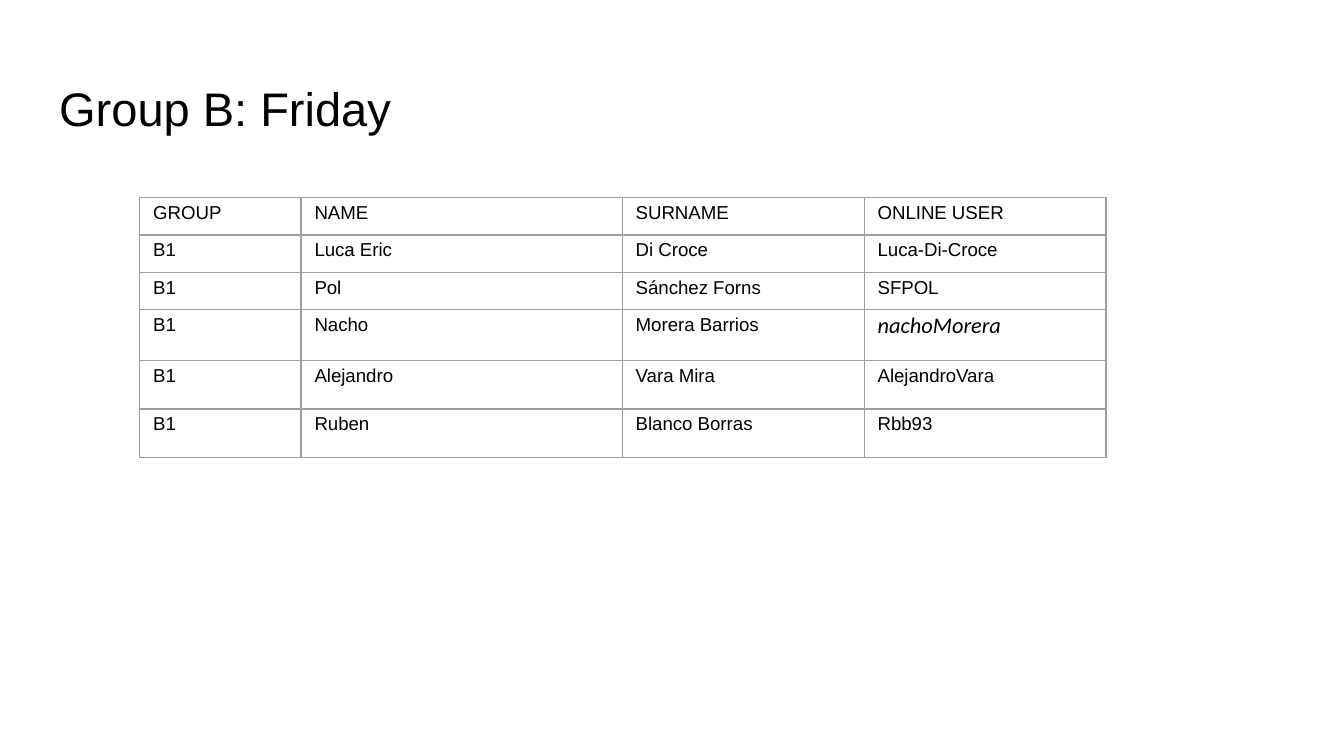
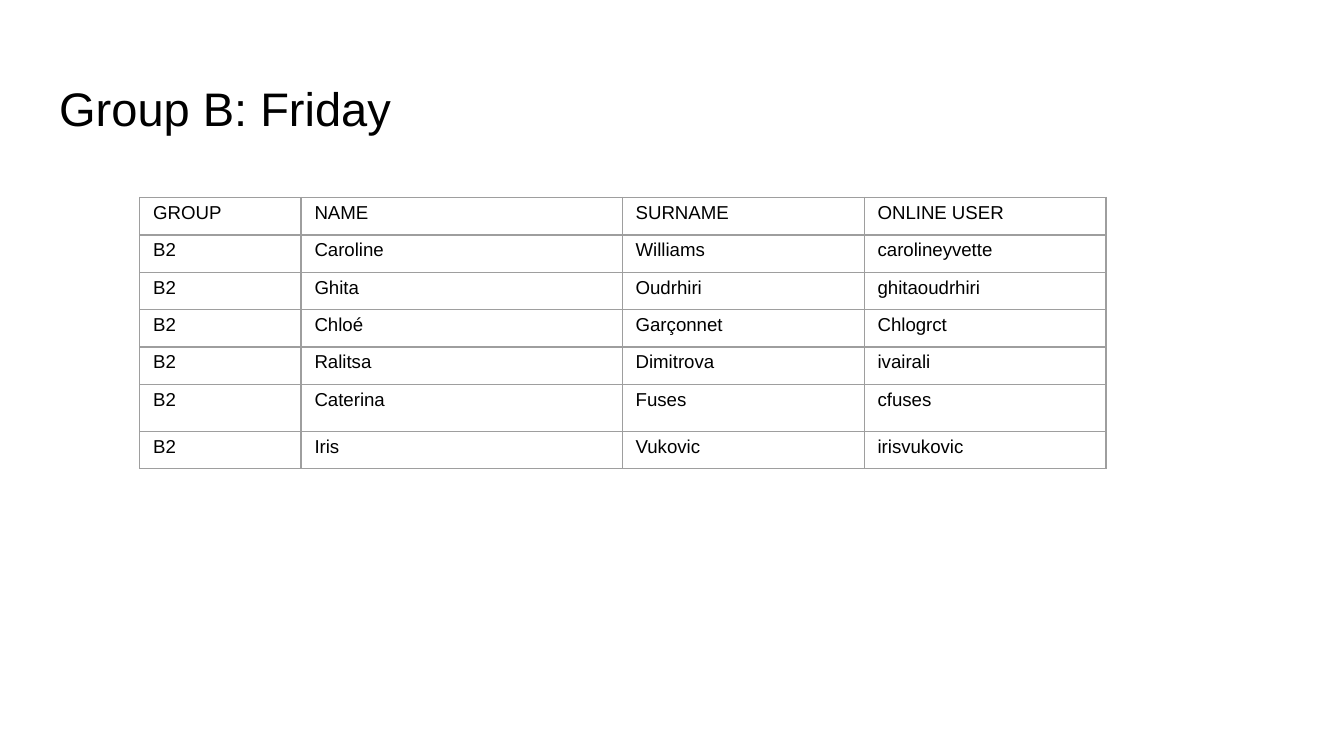
"""Build two slides that list the members of the Friday groups."""
from lxml import etree
from pptx import Presentation
from pptx import util as u
from pptx.dml.color import RGBColor
from pptx.enum import text
from pptx.oxml.ns import qn

THEME = {
    "ink": RGBColor.from_string("000000"),
    "rule": "9E9E9E",
    "line": u.Pt(0.75),
    "head": {"name": "Arial", "size": u.Pt(25.2)},
    "body": {"name": "Arial", "size": u.Pt(10)},
    "note": {"name": "Calibri", "size": u.Pt(12), "italic": True},
}
PAD = {f"margin_{side}": u.Inches(0.1) for side in ("left", "right", "top", "bottom")}
HEADS = ("GROUP", "NAME", "SURNAME", "ONLINE USER")
COLS = (1.2, 2.39, 1.8, 1.8)
ROW = 0.23
GROUPS = {
    "B1": [
        ("Luca Eric", "Di Croce", "Luca-Di-Croce"),
        ("Pol", "Sánchez Forns", "SFPOL"),
        ("Nacho", "Morera Barrios", "nachoMorera"),
        ("Alejandro", "Vara Mira", "AlejandroVara"),
        ("Ruben", "Blanco Borras", "Rbb93"),
    ],
    "B2": [
        ("Caroline", "Williams", "carolineyvette"),
        ("Ghita", "Oudrhiri", "ghitaoudrhiri"),
        ("Chloé", "Garçonnet", "Chlogrct"),
        ("Ralitsa", "Dimitrova", "ivairali"),
        ("Caterina", "Fuses", "cfuses"),
        ("Iris", "Vukovic", "irisvukovic"),
    ],
}
TALL = {"Nacho": 0.38, "Alejandro": 0.36, "Ruben": 0.36, "Caterina": 0.35}


def style(item, *sets):
    """Set each attribute named in the given dicts."""
    for fmt in sets:
        for key, val in fmt.items():
            setattr(item, key, val)


def write(par, words, font):
    """Put one run of formatted text in a paragraph."""
    run = par.add_run()
    run.text = words
    style(run.font, font)
    run.font.color.rgb = THEME["ink"]


deck = Presentation()
wide = u.Inches(10)
style(deck, {"slide_width": wide, "slide_height": wide * 9 // 16})

for group, people in GROUPS.items():
    slide = deck.slides.add_slide(deck.slide_layouts[5])

    title = slide.shapes.title
    style(title, {"left": u.Inches(0.34), "top": u.Inches(0.49),
                  "width": u.Inches(9.32), "height": u.Inches(0.63)})
    frame = title.text_frame
    style(frame, PAD, {"vertical_anchor": text.MSO_ANCHOR.MIDDLE,
                       "auto_size": text.MSO_AUTO_SIZE.NONE})
    frame.paragraphs[0].alignment = text.PP_ALIGN.LEFT
    write(frame.paragraphs[0], "Group B: Friday", THEME["head"])

    rows = [HEADS] + [(group, *person) for person in people]
    tall = [TALL.get(row[1], ROW) for row in rows]
    table = slide.shapes.add_table(
        len(rows), len(COLS), u.Inches(1.04), u.Inches(1.47),
        u.Inches(sum(COLS)), u.Inches(sum(tall))).table
    style(table, {"first_row": False, "horz_banding": False})
    for col, size in zip(table.columns, COLS):
        col.width = u.Inches(size)

    for r, row in enumerate(rows):
        table.rows[r].height = u.Inches(tall[r])
        for c, words in enumerate(row):
            cell = table.cell(r, c)
            style(cell, PAD)
            par = cell.text_frame.paragraphs[0]
            par.line_spacing = 0.5
            write(par, words, THEME["note" if words == "nachoMorera" else "body"])
            props = cell._tc.get_or_add_tcPr()
            for side in ("lnL", "lnR", "lnT", "lnB"):
                edge = etree.SubElement(props, qn(f"a:{side}"), w=str(THEME["line"]))
                fill = etree.SubElement(edge, qn("a:solidFill"))
                etree.SubElement(fill, qn("a:srgbClr"), val=THEME["rule"])
            cell.fill.background()

deck.save("out.pptx")
